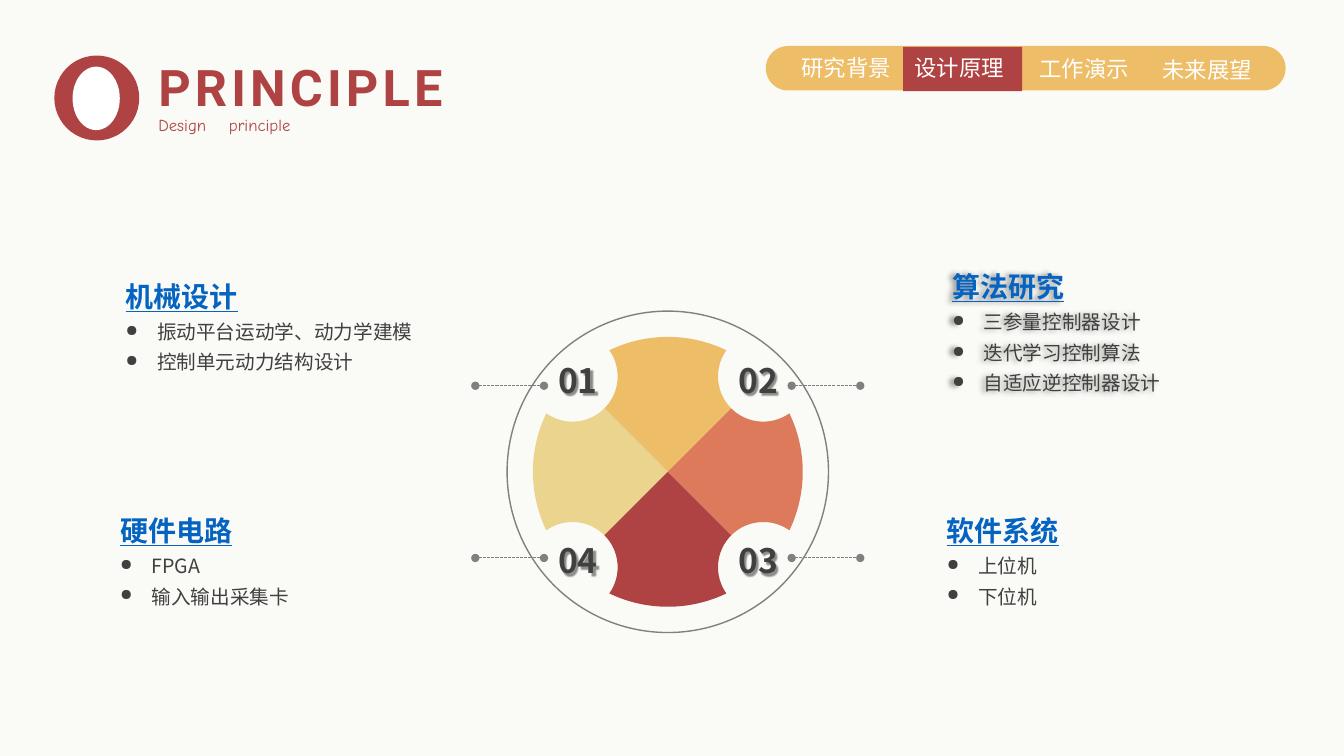
from math import asin, cos, degrees, radians, sin, sqrt, tan

from lxml.etree import SubElement
from pptx import Presentation
from pptx.dml.color import RGBColor
from pptx.enum.dml import MSO_LINE
from pptx.enum.shapes import MSO_CONNECTOR, MSO_SHAPE
from pptx.enum.text import MSO_AUTO_SIZE, PP_ALIGN
from pptx.oxml.ns import qn
from pptx.util import Cm, Pt

# Content: lengths in centimetres
HEADING, SUBHEADING = "PRINCIPLE", "Design\tprinciple"
NAVIGATION = [  # label, left, top
    ("研究背景", 19.95, 1.24),
    ("设计原理", 22.8, 1.24),
    ("工作演示", 25.95, 1.27),
    ("未来展望", 29.05, 1.3),
]
TOPICS = [  # title, bullets, left, top, has shadow
    ("机械设计", ["振动平台运动学、动力学建模", "控制单元动力结构设计"], 2.87, 6.68, False),
    ("硬件电路", ["FPGA", "输入输出采集卡"], 2.73, 12.58, False),
    ("算法研究", ["三参量控制器设计", "迭代学习控制算法", "自适应逆控制器设计"], 23.7, 6.44, True),
    ("软件系统", ["上位机", "下位机"], 23.56, 12.58, False),
]
CORNERS = [("01", -1, -1), ("02", 1, -1), ("03", 1, 1), ("04", -1, 1)]
PETALS = [("EDBD68", -90), ("DD7A5B", 0), ("EBD48E", 180), ("AF4343", 90)]  # colour, direction

RED, GOLD, GREY, DARK, BLUE, WHITE = "AF4343", "EDBD68", "808080", "404040", "0563C1", "FFFFFF"
CHINESE = "Noto Sans CJK SC"
CENTER_X, CENTER_Y = 16.83, 11.89
RING_RADIUS, RIM_RADIUS, NOTCH_RADIUS = 4.05, 3.4, 1.14

presentation = Presentation()
presentation.slide_width, presentation.slide_height = Cm(33.87), Cm(19.05)
slide = presentation.slides.add_slide(presentation.slide_layouts[6])


def color(hex_string):
    return RGBColor.from_string(hex_string)


def add_shape(kind, left, top, width, height, fill=None, line=None):
    shape = slide.shapes.add_shape(kind, Cm(left), Cm(top), Cm(width), Cm(height))
    paint(shape, fill, line)
    return shape


def paint(shape, fill, line=None):
    shape.shadow.inherit = False
    if fill:
        shape.fill.solid()
        shape.fill.fore_color.rgb = color(fill)
    else:
        shape.fill.background()
    if line:
        shape.line.color.rgb = color(line)
        shape.line.width = Pt(1)
    else:
        shape.line.fill.background()


def add_box(left, top, width, height):
    box = slide.shapes.add_textbox(Cm(left), Cm(top), Cm(width), Cm(height))
    box.text_frame.word_wrap = True
    box.text_frame.auto_size = MSO_AUTO_SIZE.SHAPE_TO_FIT_TEXT
    return box


def add_run(paragraph, text, size, hex_string, font=CHINESE, bold=False, underline=False):
    run = paragraph.add_run()
    run.text = text
    run.font.size, run.font.name = Pt(size), font
    run.font.bold, run.font.underline = bold, underline
    run.font.color.rgb = color(hex_string)
    SubElement(run.font._element, qn("a:ea"), typeface=font)
    return run


def add_shadow(box, blur, distance, direction, opacity):
    effects = SubElement(box._element.spPr, qn("a:effectLst"))
    shadow = SubElement(effects, qn("a:outerShdw"), blurRad=str(Pt(blur)), dist=str(Pt(distance)),
                        dir=str(direction * 60000), algn="ctr", rotWithShape="0")
    black = SubElement(shadow, qn("a:srgbClr"), val="000000")
    SubElement(black, qn("a:alpha"), val=str(opacity * 1000))


def polar(x, y, radius, angle):
    return x + radius * cos(radians(angle)), y + radius * sin(radians(angle))


def arc(x, y, radius, start, end):
    """Start, two handles and end of one cubic curve."""
    handle = 4 / 3 * tan(radians(end - start) / 4) * radius
    first, last = polar(x, y, radius, start), polar(x, y, radius, end)
    return [first, polar(*first, handle, start + 90), polar(*last, handle, end - 90), last]


def add_petal(fill, direction):
    """Quarter of the disc with a round notch at each side, drawn upright, then turned by 45."""
    notch_angle = 2 * degrees(asin(NOTCH_RADIUS / 2 / RIM_RADIUS))
    sweep, axis = 90 - notch_angle / 2, direction - 45
    before = polar(CENTER_X, CENTER_Y, RIM_RADIUS, axis - 45)
    after = polar(CENTER_X, CENTER_Y, RIM_RADIUS, axis + 45)
    curves = [
        arc(*before, NOTCH_RADIUS, axis + 135, axis + 135 - sweep),
        arc(CENTER_X, CENTER_Y, RIM_RADIUS, axis - 45 + notch_angle, axis),
        arc(CENTER_X, CENTER_Y, RIM_RADIUS, axis, axis + 45 - notch_angle),
        arc(*after, NOTCH_RADIUS, axis + 225 + sweep, axis + 225),
    ]
    points = [curves[0][0]] + [point for curve in curves for point in curve[1:]]
    builder = slide.shapes.build_freeform(Cm(CENTER_X), Cm(CENTER_Y))
    builder.add_line_segments([(Cm(x), Cm(y)) for x, y in points], close=True)
    shape = builder.convert_to_shape()

    # Join each three points after the first line into one curve
    lines = list(shape._element.iter(qn("a:lnTo")))[1:]
    for index in range(0, len(lines), 3):
        curve = lines[index].makeelement(qn("a:cubicBezTo"))
        lines[index].addprevious(curve)
        for line in lines[index:index + 3]:
            curve.append(line[0])
            line.getparent().remove(line)

    middle_x, middle_y = polar(Cm(CENTER_X), Cm(CENTER_Y), shape.width / sqrt(2), direction)
    shape.left, shape.top = int(middle_x - shape.width / 2), int(middle_y - shape.height / 2)
    shape.rotation = 45
    paint(shape, fill)


# Background, plain badge and heading
slide.background.fill.solid()
slide.background.fill.fore_color.rgb = color("FAFBF6")
add_shape(MSO_SHAPE.OVAL, 1.37, 1.4, 2.14, 2.14, RED)
add_shape(MSO_SHAPE.OVAL, 1.83, 1.68, 1.19, 1.6, WHITE)
paragraph = add_box(3.74, 1.3, 8.56, 1.8).text_frame.paragraphs[0]
run = add_run(paragraph, HEADING, 36, RED, "Roboto", bold=True)
run.font._element.set("spc", "300")

# Ring and petals
add_shape(MSO_SHAPE.OVAL, CENTER_X - RING_RADIUS, CENTER_Y - RING_RADIUS,
          2 * RING_RADIUS, 2 * RING_RADIUS, line=GREY)
for fill, direction in PETALS:
    add_petal(fill, direction)

# Numbers and their dotted leaders
for number, across, down in CORNERS:
    box = add_box(CENTER_X + across * 2.27 - 0.86, CENTER_Y + down * 2.27 - 0.67, 1.73, 1.27)
    paragraph = box.text_frame.paragraphs[0]
    paragraph.alignment = PP_ALIGN.CENTER
    add_run(paragraph, number, 24, DARK, bold=True)
    add_shadow(box, 1, 2, 45, 43)

    inner, outer = sorted([CENTER_X + across * 3.12, CENTER_X + across * 4.85])
    y = Cm(CENTER_Y + down * 2.17)
    leader = slide.shapes.add_connector(MSO_CONNECTOR.STRAIGHT, Cm(inner), y, Cm(outer), y)
    leader.line.color.rgb = color(GREY)
    leader.line.width = Pt(0.75)
    leader.line.dash_style = MSO_LINE.SQUARE_DOT
    for end in ("a:headEnd", "a:tailEnd"):
        SubElement(leader.line._get_or_add_ln(), qn(end), type="oval")
    SubElement(leader._element.spPr, qn("a:effectLst"))

# Topics
for title, bullets, left, top, has_shadow in TOPICS:
    box = add_box(left, top, 8.05, 1.23 + 0.78 * len(bullets))
    frame = box.text_frame
    frame.margin_left, frame.margin_right = Cm(0.3), Cm(0.25)
    frame.margin_top = frame.margin_bottom = Cm(0.1)
    frame.paragraphs[0].line_spacing = 1.3
    add_run(frame.paragraphs[0], title, 20, BLUE, bold=True, underline=True)
    for bullet in bullets:
        paragraph = frame.add_paragraph()
        paragraph.line_spacing = 1.3
        properties = paragraph._p.get_or_add_pPr()
        properties.set("marL", str(Cm(0.79)))
        properties.set("indent", str(-Cm(0.79)))
        SubElement(properties, qn("a:buSzPct"), val="80000")
        SubElement(properties, qn("a:buChar"), char="●")
        add_run(paragraph, bullet, 14, DARK)
    if has_shadow:
        add_shadow(box, 4, 3, 180, 40)

# Navigation bar
bar = add_shape(MSO_SHAPE.ROUNDED_RECTANGLE, 19.3, 1.16, 13.1, 1.12, GOLD)
bar.adjustments[0] = 0.5
add_shape(MSO_SHAPE.RECTANGLE, 22.76, 1.18, 3, 1.12, RED)
for label, left, top in NAVIGATION:
    paragraph = add_box(left, top, 3.33, 0.94).text_frame.paragraphs[0]
    add_run(paragraph, label, 16, WHITE)

# Subheading, its second word set by a tab stop
paragraph = add_box(3.74, 2.77, 6.02, 0.76).text_frame.paragraphs[0]
paragraph.space_after = Pt(18)
tabs = SubElement(paragraph._p.get_or_add_pPr(), qn("a:tabLst"))
SubElement(tabs, qn("a:tab"), pos=str(Cm(1.78)), algn="l")
add_run(paragraph, SUBHEADING, 12, RED, "Comic Neue")

presentation.save("out.pptx")
